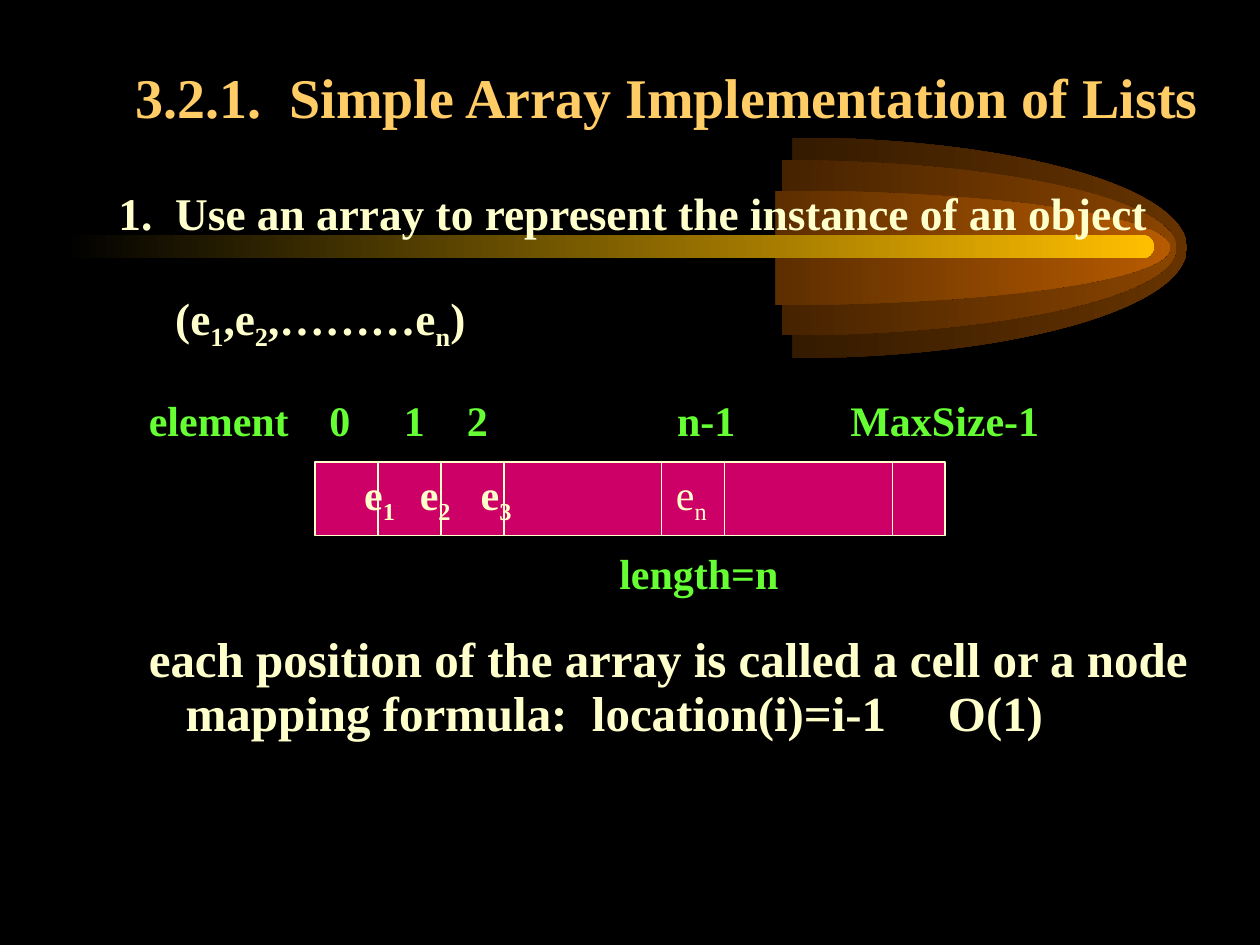
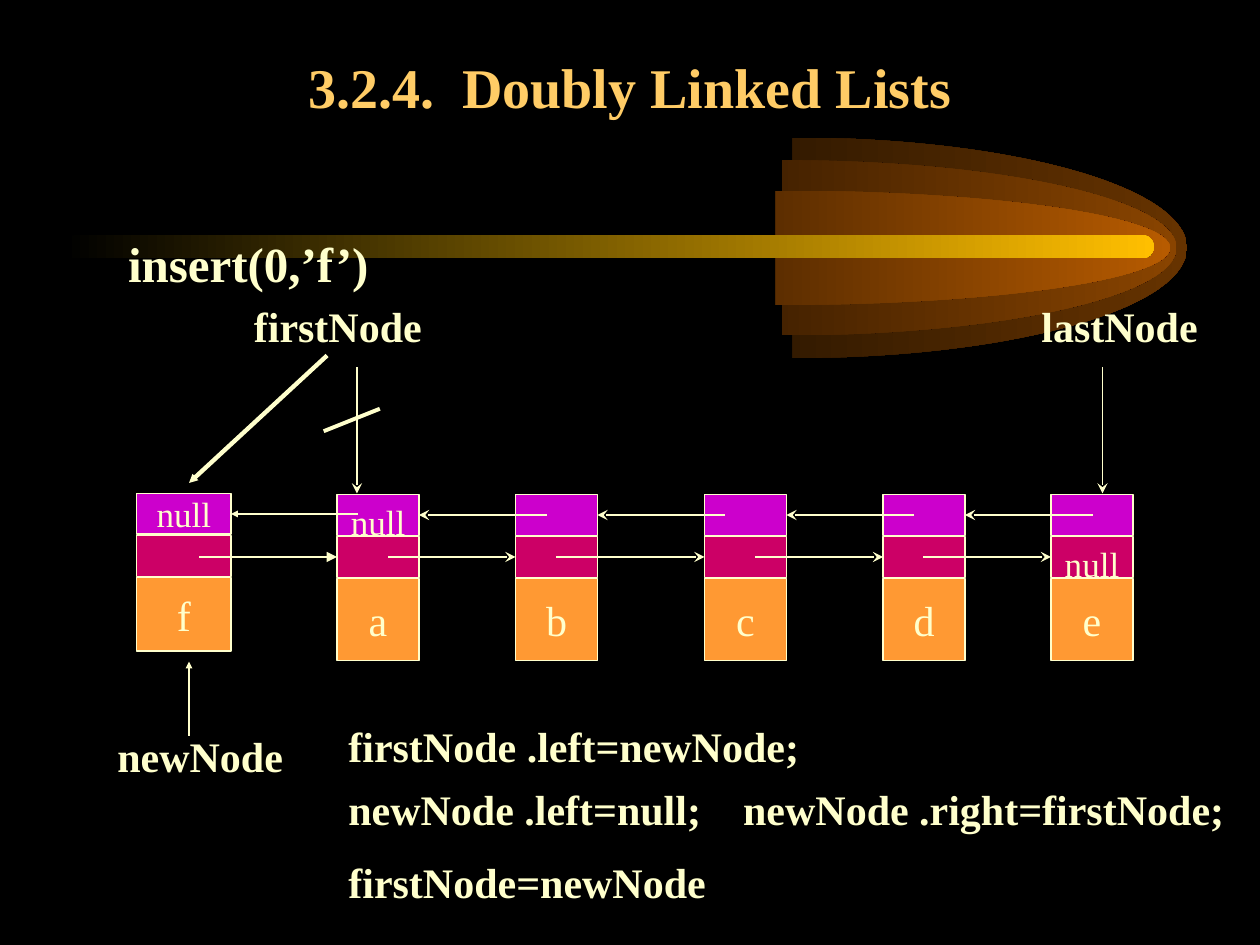
"""Builds two lecture slides on array lists and doubly linked lists."""

from dataclasses import dataclass

from lxml.etree import SubElement
from pptx import Presentation
from pptx.dml.color import RGBColor
from pptx.enum.shapes import MSO_CONNECTOR, MSO_SHAPE
from pptx.enum.text import MSO_ANCHOR, MSO_AUTO_SIZE, PP_ALIGN
from pptx.oxml.ns import qn
from pptx.util import Inches, Pt


@dataclass(frozen=True)
class Theme:
    """Colours, font and type sizes shared by both slides."""

    font: str = "Times New Roman"
    background: str = "000000"
    title: str = "FFCC66"
    text: str = "FFFFCC"
    index: str = "66FF33"
    left_link: str = "CC00CC"
    right_link: str = "CC0066"
    data: str = "FF9933"
    bar: str = "FFBF00"
    title_size: float = 32
    statement_size: float = 28
    body_size: float = 25.9
    label_size: float = 24
    null_size: float = 20


THEME = Theme()
CELLS_PER_INCH = 12
TITLE_HEIGHT = 9
LABEL_HEIGHT = 6

FLARE_CENTRE_Y = 23.6
FLARE_RADIUS_X = 37.55
FLARES = [(75.5, 10.5, "663300"), (74.5, 8.35, "894400"), (73.9, 5.45, "B75B00")]
HALF_ELLIPSE = (162, 54)
BAR = (6, 22.4, 103.9, 2.2)

ARRAY_TITLE = "3.2.1.  Simple Array Implementation of Lists"
ARRAY_INTRO = [("Use an array to represent the instance of an object", "b")]
ARRAY_SEQUENCE = [
    ("(e", "b"), ("1", "bs"), (",e", "b"), ("2", "bs"),
    (",………e", "b"), ("n", "bs"), (")", "b"),
]
ARRAY_BOX = (30, 44, 60, 7)
ARRAY_DIVIDERS = [36, 42, 48, 63, 69, 85]
ARRAY_CELLS = [(33.5, "1", "b"), (38.8, "2", "b"), (44.6, "3", "b"), (63.2, "n", "")]
INDEX_LABELS = [
    (13, "element"), (30.2, "0"), (37.3, "1"), (43.3, "2"),
    (63.3, "n-1"), (79.8, "MaxSize-1"),
]
ARRAY_STATEMENTS = [
    (13, 59.3, 102, "each position of the array is called a cell or a node"),
    (16.5, 64.4, 72, "mapping formula:  location(i)=i-1"),
    (89.1, 64.4, 20, "O(1)"),
]

STEALTH = ("stealth", "med")
TRIANGLE = ("triangle", "med")
SMALL_TRIANGLE = ("triangle", "sm")
LINKED_TITLE = "3.2.4.  Doubly Linked Lists"
LINKED_CALL = [("insert(0,’f’)", "b")]
LINK_HEIGHT = 3.9
LEFT_ROW, RIGHT_ROW, DATA_ROW = 47, 51, 55
OLD_NODE_SHIFT = 0.1
NODES = [
    ("f", 13, 9, 7, "null", ""),
    ("a", 32, 7.8, 7.8, "null", ""),
    ("b", 49, 7.8, 7.8, "", ""),
    ("c", 67, 7.8, 7.8, "", ""),
    ("d", 84, 7.8, 7.8, "", ""),
    ("e", 100, 7.8, 7.8, "", "null"),
]
RIGHT_LINK_STARTS = [19, 37, 53, 72, 88]
LEFT_LINK_STARTS = [34, 52, 69, 87, 104]
POINTERS = [
    ((34, 35), (34, 47), 1, STEALTH),
    ((105, 35), (105, 47), 1, STEALTH),
    ((18, 70), (18, 63), 1, SMALL_TRIANGLE),
    ((31, 34), (18, 46), 2.5, SMALL_TRIANGLE),
    ((36, 39), (31, 41), 2.25, None),
]
LINKED_LABELS = [
    (23, 28, 22, "firstNode"),
    (98, 28, 22, "lastNode"),
    (10, 69, 19, "newNode"),
    (32, 68, 88, "firstNode .left=newNode;"),
    (32, 74, 37, "newNode .left=null;"),
    (69.6, 74, 50.4, "newNode .right=firstNode;"),
    (32, 81, 81, "firstNode=newNode"),
]


def grid(*cells):
    """Turn grid cells into lengths."""
    return [Inches(cell / CELLS_PER_INCH) for cell in cells]


def color(value):
    """Turn a hex string into a colour."""
    return RGBColor.from_string(value)


def write(paragraph, runs, size, tone=THEME.text, align=PP_ALIGN.LEFT,
          margin=0, hanging=0, numbered=False):
    """Format a paragraph and add its runs; flag b is bold, s is subscript."""
    properties = paragraph._p.get_or_add_pPr()
    properties.set("marL", str(Inches(margin)))
    properties.set("indent", str(-Inches(hanging)))
    if numbered:
        SubElement(properties, qn("a:buAutoNum"), type="arabicPeriod")
    else:
        SubElement(properties, qn("a:buNone"))
    paragraph.alignment = align
    paragraph.space_before = Pt(0)
    for text, flags in runs:
        run = paragraph.add_run()
        run.text = text
        run.font.name = THEME.font
        run.font.size = Pt(size)
        run.font.bold = "b" in flags
        run.font.color.rgb = color(tone)
        if "s" in flags:
            run._r.get_or_add_rPr().set("baseline", "-25000")


def add_label(slide, left, top, width, runs, size=THEME.label_size, tone=THEME.text):
    """Add one line of text; a plain string is set in bold."""
    box = slide.shapes.add_textbox(*grid(left, top, width, LABEL_HEIGHT))
    box.text_frame.word_wrap = True
    runs = [(runs, "b")] if isinstance(runs, str) else runs
    write(box.text_frame.paragraphs[0], runs, size, tone)


def add_box(slide, place, fill):
    """Add an outlined rectangle."""
    box = slide.shapes.add_shape(MSO_SHAPE.RECTANGLE, *grid(*place))
    box.shadow.inherit = False
    box.fill.solid()
    box.fill.fore_color.rgb = color(fill)
    box.line.color.rgb = color(THEME.text)
    box.line.width = Pt(1)
    return box


def add_line(slide, start, end, width=1, arrow=None):
    """Add a straight line, with an arrowhead at its end if one is given."""
    line = slide.shapes.add_connector(MSO_CONNECTOR.STRAIGHT, *grid(*start, *end))
    line.line.color.rgb = color(THEME.text)
    line.line.width = Pt(width)
    outline = line.line._get_or_add_ln()
    outline.set("cap", "sq")
    if arrow:
        kind, size = arrow
        SubElement(outline, qn("a:tailEnd"), type=kind, w=size, len=size)
    SubElement(line._element.spPr, qn("a:effectLst"))
    return line


def fill_gradient(shape, end_color):
    """Fade a shape from the background to a colour, left to right."""
    shape.shadow.inherit = False
    shape.line.fill.background()
    shape.fill.gradient()
    shape.fill.gradient_angle = 0
    for stop, value in zip(shape.fill.gradient_stops, (THEME.background, end_color)):
        stop.color.rgb = color(value)


def decorate_layout(layout, slide):
    """Give the layout its background, flares and bar."""
    layout.background.fill.solid()
    layout.background.fill.fore_color.rgb = color(THEME.background)
    parts = []
    for centre_x, radius_y, tone in FLARES:
        flare = slide.shapes.add_shape(MSO_SHAPE.ARC, *grid(
            centre_x - FLARE_RADIUS_X, FLARE_CENTRE_Y - radius_y,
            2 * FLARE_RADIUS_X, 2 * radius_y))
        flare.adjustments[0], flare.adjustments[1] = HALF_ELLIPSE
        fill_gradient(flare, tone)
        parts.append(flare)
    bar = slide.shapes.add_shape(MSO_SHAPE.ROUNDED_RECTANGLE, *grid(*BAR))
    bar.adjustments[0] = 0.5
    fill_gradient(bar, THEME.bar)
    parts.append(bar)
    for position, part in enumerate(parts, start=2):
        layout.shapes.element.insert(position, part._element)


def place_text(placeholder, place, anchor):
    """Move a placeholder and return its text frame."""
    placeholder.left, placeholder.top, placeholder.width, placeholder.height = grid(*place)
    frame = placeholder.text_frame
    frame.auto_size = MSO_AUTO_SIZE.NONE
    frame.word_wrap = True
    frame.vertical_anchor = anchor
    return frame


def set_title(slide, text, place, align):
    """Fill the title placeholder."""
    frame = place_text(slide.shapes.title, (*place, TITLE_HEIGHT), MSO_ANCHOR.BOTTOM)
    write(frame.paragraphs[0], [(text, "b")], THEME.title_size, THEME.title, align)


def build_array_slide(slide):
    """Show a list stored in an array."""
    set_title(slide, ARRAY_TITLE, (11.7, 4, 104.3), PP_ALIGN.LEFT)
    body = place_text(slide.placeholders[1], (9, 18, 104, 21), MSO_ANCHOR.TOP)
    write(body.paragraphs[0], ARRAY_INTRO, THEME.body_size,
          margin=0.54, hanging=0.45, numbered=True)
    write(body.add_paragraph(), ARRAY_SEQUENCE, THEME.body_size, margin=0.54)
    body.paragraphs[1].space_before = Pt(32.5)
    for paragraph in body.paragraphs:
        paragraph.line_spacing = 0.8

    add_box(slide, ARRAY_BOX, THEME.right_link)
    top, bottom = ARRAY_BOX[1], ARRAY_BOX[1] + ARRAY_BOX[3]
    for left, subscript, weight in ARRAY_CELLS:
        add_label(slide, left, top, 6, [("e", weight), (subscript, weight + "s")])
    for divider in ARRAY_DIVIDERS:
        add_line(slide, (divider, top), (divider, bottom))
    for left, text in INDEX_LABELS:
        add_label(slide, left, 37, 4 + 2 * len(text), text, tone=THEME.index)
    add_label(slide, 57.8, 51.6, 20, "length=n", tone=THEME.index)
    for statement in ARRAY_STATEMENTS:
        add_label(slide, *statement, THEME.statement_size)


def add_node(slide, name, left, width, data_height, left_text, right_text):
    """Add a node and return its left and right link fields."""
    is_new = name == "f"
    shift = 0 if is_new else OLD_NODE_SHIFT
    link_anchor = MSO_ANCHOR.MIDDLE if is_new else MSO_ANCHOR.TOP
    fields = [
        (DATA_ROW, data_height, THEME.data, name, THEME.label_size, MSO_ANCHOR.MIDDLE),
        (RIGHT_ROW, LINK_HEIGHT, THEME.right_link, right_text, THEME.null_size, link_anchor),
        (LEFT_ROW, LINK_HEIGHT, THEME.left_link, left_text, THEME.null_size, link_anchor),
    ]
    boxes = []
    for top, height, fill, text, size, anchor in fields:
        box = add_box(slide, (left + shift, top + shift, width, height), fill)
        if text:
            box.text_frame.vertical_anchor = anchor
            write(box.text_frame.paragraphs[0], [(text, "")], size, align=PP_ALIGN.CENTER)
        boxes.append(box)
    return boxes[2], boxes[1]


def add_link(slide, start_x, target, side, arrow):
    """Point from inside one node to the side of another."""
    y = (target.top + target.height / 2) / Inches(1) * CELLS_PER_INCH
    link = add_line(slide, (start_x, y), (start_x, y), arrow=arrow)
    link.end_connect(target, side)


def build_linked_slide(slide):
    """Show an insertion at the head of a doubly linked list."""
    set_title(slide, LINKED_TITLE, (9, 3, 102), PP_ALIGN.CENTER)
    body = place_text(slide.placeholders[1], (11, 21.6, 98, 7), MSO_ANCHOR.TOP)
    write(body.paragraphs[0], LINKED_CALL, THEME.statement_size)

    left_fields, right_fields = zip(*(add_node(slide, *node) for node in NODES))
    for position, start_x in enumerate(RIGHT_LINK_STARTS):
        add_link(slide, start_x, right_fields[position + 1], 1,
                 STEALTH if position else TRIANGLE)
        add_link(slide, LEFT_LINK_STARTS[position], left_fields[position], 3,
                 STEALTH if position else SMALL_TRIANGLE)
    for pointer in POINTERS:
        add_line(slide, *pointer)
    for label in LINKED_LABELS:
        add_label(slide, *label)


def main():
    """Build and save the presentation."""
    presentation = Presentation()
    presentation.slide_width, presentation.slide_height = grid(120, 90)
    layout = presentation.slide_layouts[1]
    slides = [presentation.slides.add_slide(layout) for _ in range(2)]
    decorate_layout(layout, slides[0])
    build_array_slide(slides[0])
    build_linked_slide(slides[1])
    presentation.save("out.pptx")


if __name__ == "__main__":
    main()
